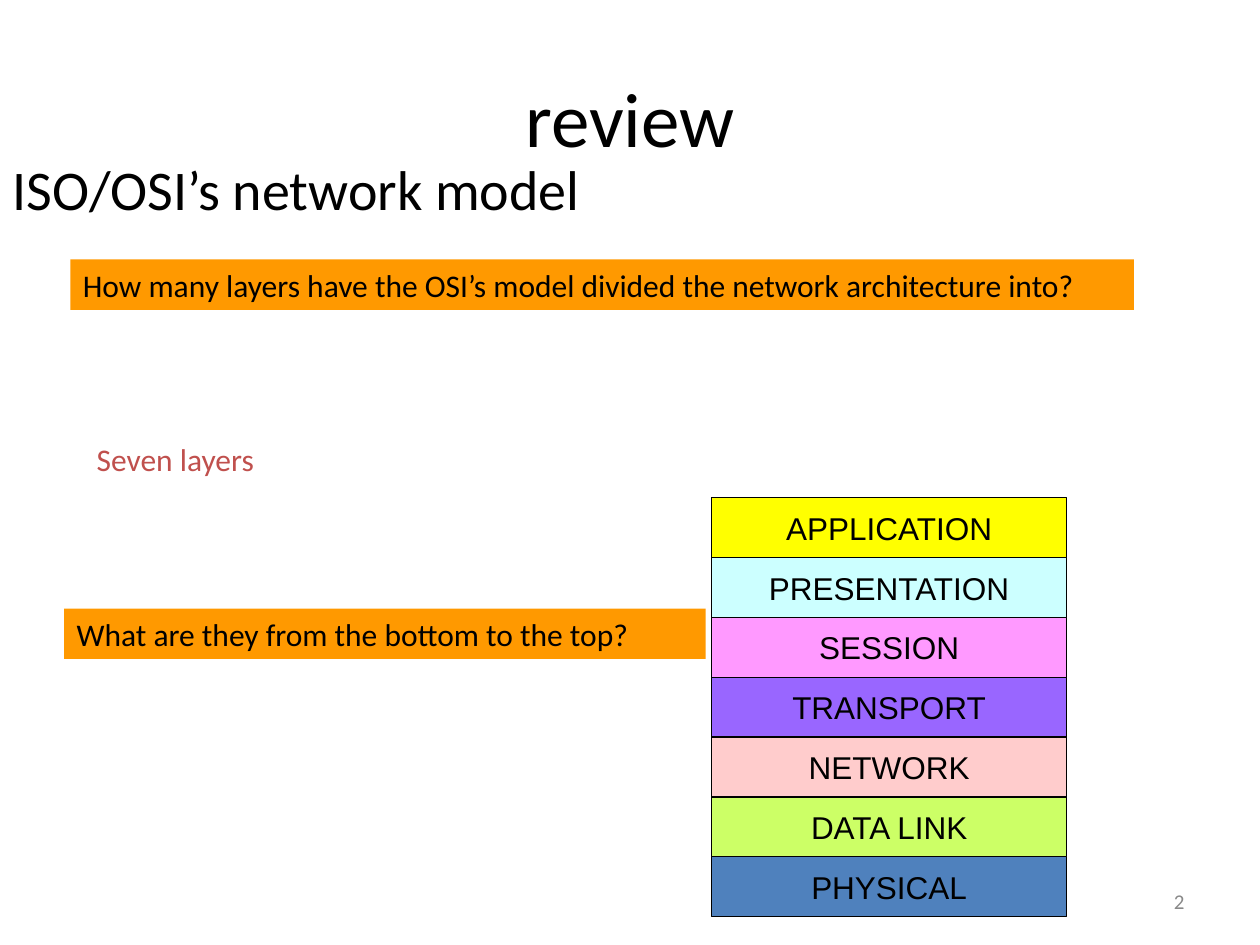
from dataclasses import dataclass
from typing import Optional

from pptx import Presentation
from pptx.dml.color import RGBColor
from pptx.enum.shapes import MSO_SHAPE
from pptx.enum.text import MSO_ANCHOR, PP_ALIGN
from pptx.util import Pt

COLORS = {
    "black": "000000", "white": "FFFFFF", "gray": "898989", "red": "C0504D",
    "orange": "FF9900", "yellow": "FFFF00", "cyan": "CCFFFF", "pink": "FF99FF",
    "purple": "9966FF", "rose": "FFCCCC", "lime": "CCFF66", "blue": "4F81BD",
}

# Layer stack, from top to bottom
LAYERS = [
    ("APPLICATION", "yellow"), ("PRESENTATION", "cyan"), ("SESSION", "pink"),
    ("TRANSPORT", "purple"), ("NETWORK", "rose"), ("DATA LINK", "lime"),
    ("PHYSICAL", "blue"),
]
STACK_LEFT, STACK_TOP, LAYER_WIDTH, LAYER_HEIGHT = 406.6, 284.4, 203, 34.2


@dataclass
class Box:
    text: str
    left: float
    top: float
    width: float
    height: float
    size: float = 18
    font: str = "Calibri"
    color: str = "black"
    fill: Optional[str] = None
    line: Optional[str] = None
    align: PP_ALIGN = PP_ALIGN.LEFT
    anchor: MSO_ANCHOR = MSO_ANCHOR.TOP
    wrap: bool = True


def rgb(name: str) -> RGBColor:
    return RGBColor.from_string(COLORS[name])


def write_text(shape, box: Box) -> None:
    frame = shape.text_frame
    frame_format = {
        "margin_left": Pt(7.2), "margin_right": Pt(7.2),
        "margin_top": Pt(3.6), "margin_bottom": Pt(3.6),
        "vertical_anchor": box.anchor, "word_wrap": box.wrap,
    }
    for name, value in frame_format.items():
        setattr(frame, name, value)
    paragraph = frame.paragraphs[0]
    paragraph.text = box.text
    paragraph.alignment = box.align
    for name, value in {"size": Pt(box.size), "name": box.font}.items():
        setattr(paragraph.font, name, value)
    paragraph.font.color.rgb = rgb(box.color)


def add_box(slide, box: Box) -> None:
    bounds = [Pt(value) for value in (box.left, box.top, box.width, box.height)]
    if box.fill is None:
        shape = slide.shapes.add_textbox(*bounds)
    else:
        shape = slide.shapes.add_shape(MSO_SHAPE.RECTANGLE, *bounds)
        shape.shadow.inherit = False
        shape.fill.solid()
        shape.fill.fore_color.rgb = rgb(box.fill)
        if box.line is None:
            shape.line.fill.background()
        else:
            shape.line.color.rgb = rgb(box.line)
            shape.line.width = Pt(0.75)
    write_text(shape, box)


def place_title(slide, box: Box) -> None:
    title = slide.shapes.title
    for name in ("left", "top", "width", "height"):
        setattr(title, name, Pt(getattr(box, name)))
    write_text(title, box)


def main() -> None:
    presentation = Presentation()
    presentation.slide_width, presentation.slide_height = Pt(720), Pt(540)
    slide = presentation.slides.add_slide(presentation.slide_layouts[5])

    # Title, subtitle and page number
    place_title(slide, Box("review", 36, 21.6, 648, 90, size=44,
                           align=PP_ALIGN.CENTER, anchor=MSO_ANCHOR.MIDDLE))
    add_box(slide, Box("ISO/OSI’s network model", 0, 85, 720, 50, size=32))
    add_box(slide, Box("2", 516, 500.4, 168, 28.8, size=12, color="gray",
                       align=PP_ALIGN.RIGHT, anchor=MSO_ANCHOR.MIDDLE))

    # Questions
    add_box(slide, Box(
        "How many layers have the OSI’s model divided the network architecture into?",
        40.3, 148.3, 607.7, 28.8, fill="orange"))
    add_box(slide, Box("What are they from the bottom to the top?",
                       36.7, 347.8, 366.5, 28.8, fill="orange"))

    # Layer stack, drawn from the bottom up
    for row, (name, fill) in reversed(list(enumerate(LAYERS))):
        add_box(slide, Box(
            name, STACK_LEFT, STACK_TOP + row * LAYER_HEIGHT, LAYER_WIDTH, LAYER_HEIGHT,
            font="Arial", fill=fill, line="black", align=PP_ALIGN.CENTER,
            anchor=MSO_ANCHOR.MIDDLE, wrap=False))

    # Answer
    add_box(slide, Box("Seven layers", 48.2, 247.7, 199.4, 28.8,
                       color="red", fill="white"))

    presentation.save("out.pptx")


if __name__ == "__main__":
    main()
